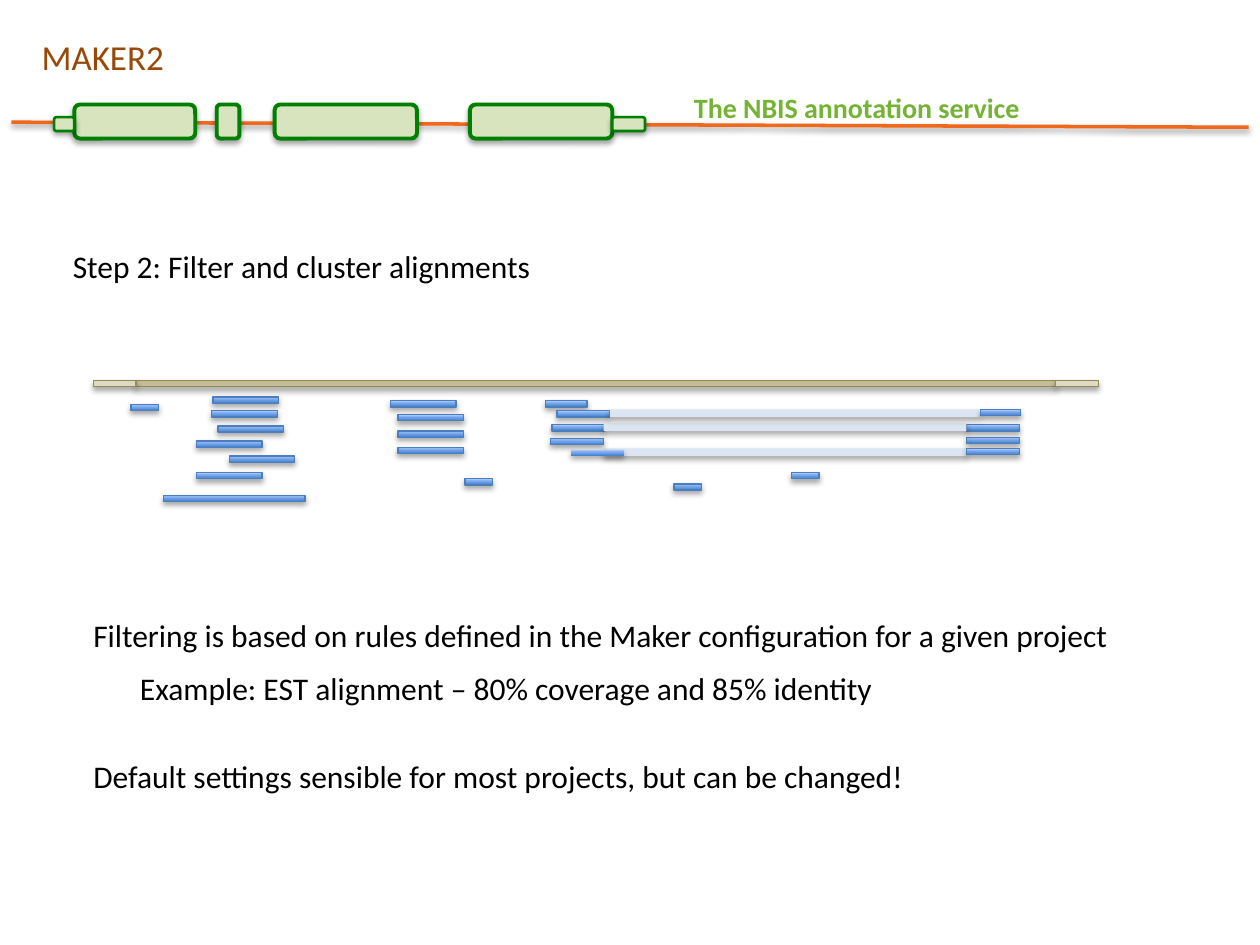
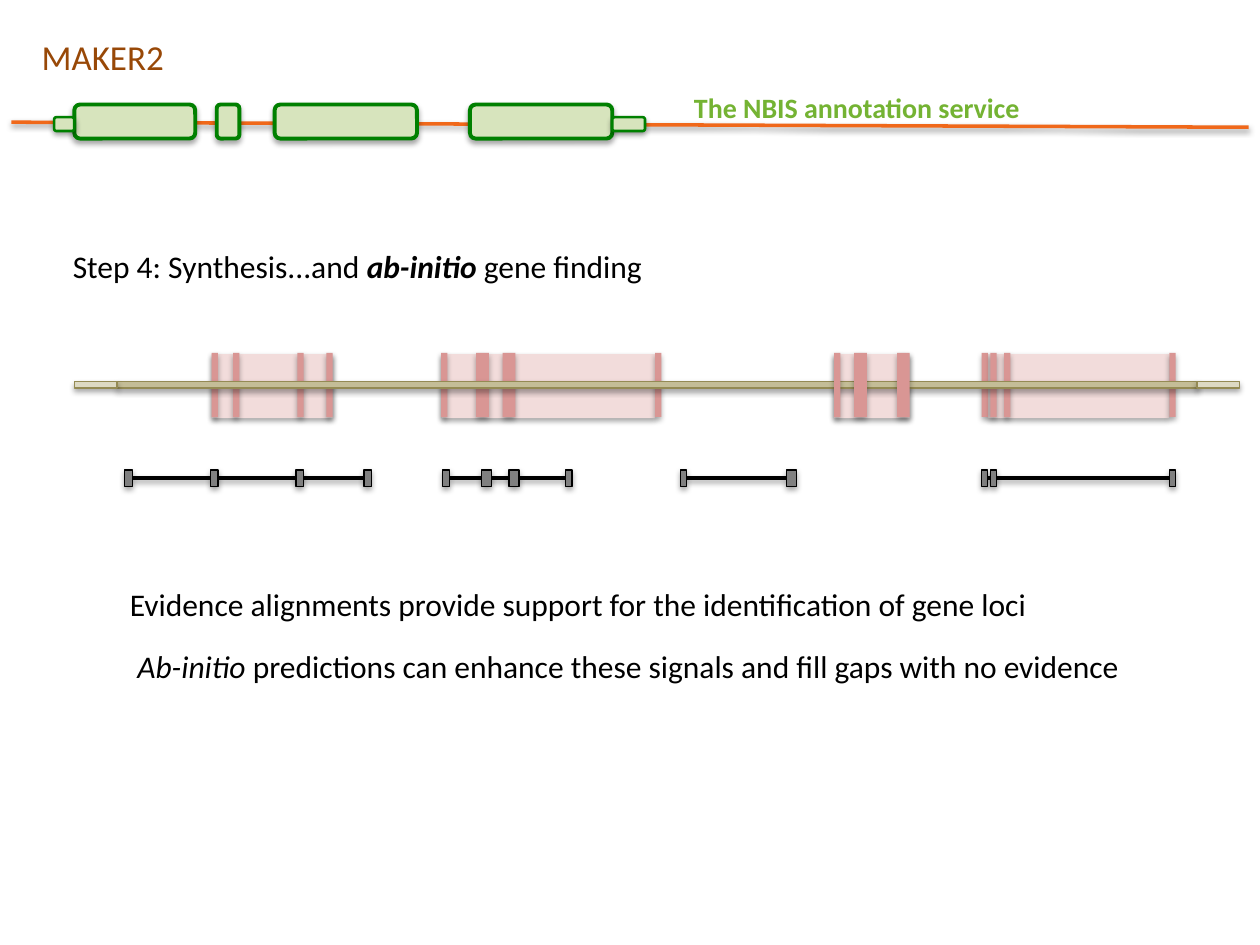
from dataclasses import dataclass

import pptx
import pptx.dml.color
import pptx.enum.shapes
import pptx.enum.text
import pptx.util
from lxml import etree
from pptx.util import Inches


@dataclass(frozen=True)
class Theme:
    font: str = "Calibri"
    title_size: int = 20
    service_size: int = 16
    text_size: int = 18
    title: str = "984807"
    text: str = "000000"
    service: str = "74B333"
    strand: str = "F0681A"
    gene: str = "D7E4BD"
    gene_edge: str = "008000"
    contig: str = "C4BD97"
    contig_end: str = "DDD9C3"
    contig_edge: str = "948A54"
    hit: tuple = ("3F80CE", "A4C4FF")
    hit_edge: str = "4B7EBC"
    gap: str = "DCE6F2"
    locus: str = "F2DCDB"
    evidence: str = "D99694"
    exon: str = "808080"
    black: str = "000000"


theme = Theme()
rgb = pptx.dml.color.RGBColor.from_string
SHAPE = pptx.enum.shapes.MSO_SHAPE
STRAIGHT = pptx.enum.shapes.MSO_CONNECTOR.STRAIGHT


def add_bar(slide, box, fill, edge=None, weight=0.75, outline=SHAPE.RECTANGLE):
    """Bar with the theme's soft shadow; a pair of colours makes a gradient."""
    bar = slide.shapes.add_shape(outline, *[Inches(v) for v in box])
    if isinstance(fill, tuple):
        bar.fill.gradient()
        bar.fill.gradient_angle = 90
        for stop, color in zip(bar.fill.gradient_stops, fill):
            stop.color.rgb = rgb(color)
    else:
        bar.fill.solid()
        bar.fill.fore_color.rgb = rgb(fill)
    if edge:
        bar.line.color.rgb = rgb(edge)
        bar.line.width = pptx.util.Pt(weight)
    else:
        bar.line.fill.background()
    return bar


def write(paragraph, runs, size, color):
    """Runs are (text, style) pairs; style letters are b and i."""
    for text, style in runs:
        run = paragraph.add_run()
        run.text = text
        if "b" in style:
            run.font.bold = True
        if "i" in style:
            run.font.italic = True
    paragraph.alignment = pptx.enum.text.PP_ALIGN.LEFT
    paragraph.font.name = theme.font
    paragraph.font.size = pptx.util.Pt(size)
    paragraph.font.color.rgb = rgb(color)


prs = pptx.Presentation()
prs.slide_width, prs.slide_height = Inches(10), Inches(7.5)
layout = prs.slide_layouts[1]
filtering = prs.slides.add_slide(layout)
synthesis = prs.slides.add_slide(layout)

# Gene model banner: drawn once, then moved to the shared layout
strand = filtering.shapes.add_connector(
    STRAIGHT, Inches(0.09), Inches(0.97), Inches(9.91), Inches(1.01))
strand.line.color.rgb = rgb(theme.strand)
strand.line.width = pptx.util.Pt(2)
banner = [strand]
for left, top, width, height, weight in [
        (0.59, 0.83, 0.96, 0.27, 2.25), (1.72, 0.83, 0.18, 0.27, 2.25),
        (2.18, 0.83, 1.13, 0.27, 2.25), (3.73, 0.83, 1.13, 0.27, 2.25),
        (4.86, 0.93, 0.26, 0.11, 1.5), (0.43, 0.93, 0.16, 0.11, 1.5)]:
    banner.append(add_bar(filtering, (left, top, width, height), theme.gene,
                          theme.gene_edge, weight, SHAPE.ROUNDED_RECTANGLE))
service = filtering.shapes.add_textbox(
    Inches(5.41), Inches(0.67), Inches(3.2), Inches(0.37))
service.text_frame.word_wrap = True
write(service.text_frame.paragraphs[0], [("The NBIS annotation service", "b")],
      theme.service_size, theme.service)
banner.append(service)
for part in banner:
    layout.shapes.element.append(part.element)

# Evidence loci: span, then left and width of each supported exon
loci = [
    (1.68, 0.96, [(1.68, 0.05), (1.85, 0.05), (2.36, 0.05), (2.59, 0.05)]),
    (3.51, 1.69, [(3.5, 0.05), (3.78, 0.1), (3.99, 0.1), (5.2, 0.05)]),
    (7.84, 1.44, [(7.79, 0.05), (7.86, 0.05), (7.97, 0.05), (9.28, 0.05)]),
    (6.62, 0.6, [(6.62, 0.05), (6.78, 0.1), (7.12, 0.1)]),
]
for left, width, _ in loci:
    add_bar(synthesis, (left, 2.81, width, 0.51), theme.locus)
for _, _, exons in loci[:-1]:
    for left, width in exons:
        add_bar(synthesis, (left, 2.8, width, 0.51), theme.evidence)

# Contig with its two paler ends
end_width = 0.34
for slide, left, top, width in [(filtering, 1.08, 3.02, 7.3),
                                (synthesis, 0.93, 3.03, 8.57)]:
    add_bar(slide, (left, top, width, 0.05), theme.contig, theme.contig_edge)
    for end_left in (left + width, left - end_width):
        add_bar(slide, (end_left, top, end_width, 0.05),
                theme.contig_end, theme.contig_edge)

# The last locus has its exons in front of the contig
for left, width in loci[-1][2]:
    add_bar(synthesis, (left, 2.8, width, 0.51), theme.evidence)

# Aligned hits, grouped by length
add_bar(filtering, (4.79, 3.56, 2.88, 0.06), theme.gap)
hits = {
    0.52: [(1.69, 3.15), (1.68, 3.26), (1.73, 3.38), (1.56, 3.5), (1.82, 3.62),
           (1.56, 3.75), (3.1, 3.18), (3.16, 3.29), (3.16, 3.42), (3.16, 3.55)],
    0.33: [(4.33, 3.18)],
    0.42: [(4.42, 3.26), (4.38, 3.37), (4.37, 3.48),
           (7.67, 3.37), (7.67, 3.47), (7.67, 3.56)],
    1.12: [(1.3, 3.93)],
    0.22: [(3.69, 3.8), (1.04, 3.21), (6.28, 3.75), (5.35, 3.84)],
}
for width, places in hits.items():
    for left, top in places:
        add_bar(filtering, (left, top, width, 0.05), theme.hit, theme.hit_edge)
add_bar(filtering, (4.53, 3.57, 0.42, 0.05), theme.hit)

# Gaps between the halves of split hits
add_bar(filtering, (4.79, 3.36, 2.88, 0.06), theme.gap)
add_bar(filtering, (4.84, 3.25, 2.93, 0.06), theme.gap)
add_bar(filtering, (7.78, 3.25, 0.32, 0.05), theme.hit, theme.hit_edge)

# Ab-initio predictions: exons joined from the first to the last
predictions = [
    [(0.99, 0.06), (1.67, 0.06), (2.35, 0.06), (2.89, 0.06)],
    [(3.51, 0.06), (3.82, 0.08), (4.04, 0.08), (4.49, 0.05)],
    [(5.4, 0.05), (6.24, 0.08)],
    [(7.79, 0.05), (7.86, 0.05), (9.28, 0.05)],
]
for exons in predictions:
    intron = synthesis.shapes.add_connector(STRAIGHT, 0, 0, 0, 0)
    intron.line.color.rgb = rgb(theme.black)
    intron.line.width = pptx.util.Pt(2)
    boxes = [add_bar(synthesis, (left, 3.73, width, 0.13), theme.exon, theme.black)
             for left, width in exons]
    intron.begin_connect(boxes[0], 3)
    intron.end_connect(boxes[-1], 1)

# Titles, step headings and notes; a note is (indent, space before, runs)
pages = [
    (filtering, [("Step 2: Filter and cluster alignments", "")], (0.64, 4.84), [
        (0, 0, [("Filtering is based on rules defined in the Maker "
                 "configuration for a given project", "")]),
        (0.37, 8.5, [("Example: EST alignment – 80% coverage and 85% identity", "")]),
        (0, 29, [("Default settings sensible for most projects, "
                  "but can be changed!", "")]),
    ]),
    (synthesis, [("Step 4: Synthesis...and ", ""), ("ab-initio ", "bi"),
                 ("gene finding", "")], (0.93, 4.59), [
        (0, 0, [("Evidence alignments provide support for the "
                 "identification of gene loci", "")]),
        (0.06, 14, [("Ab-initio ", "i"), ("predictions can enhance these signals "
                                          "and fill gaps with no evidence", "")]),
    ]),
]
for slide, step, (left, top), notes in pages:
    title, body = slide.shapes.title, slide.placeholders[1]
    heading = slide.shapes.add_textbox(0, 0, 0, 0)
    for holder, box in [(title, (0.23, 0.23, 5, 0.44)),
                        (heading, (0.48, 1.91, 6, 0.4)),
                        (body, (left, top, 9, 1.6))]:
        holder.left, holder.top, holder.width, holder.height = map(Inches, box)
        frame = holder.text_frame
        frame.word_wrap = True
        frame.auto_size = pptx.enum.text.MSO_AUTO_SIZE.NONE
        frame.vertical_anchor = pptx.enum.text.MSO_ANCHOR.TOP
    write(title.text_frame.paragraphs[0], [("MAKER2", "")],
          theme.title_size, theme.title)
    write(heading.text_frame.paragraphs[0], step, theme.text_size, theme.text)
    for number, (indent, space, runs) in enumerate(notes):
        frame = body.text_frame
        note = frame.add_paragraph() if number else frame.paragraphs[0]
        note.space_before = pptx.util.Pt(space)
        properties = note._p.get_or_add_pPr()
        properties.set("marL", str(Inches(indent)))
        properties.set("indent", "0")
        etree.SubElement(properties, pptx.oxml.ns.qn("a:buNone"))
        write(note, runs, theme.text_size, theme.text)

prs.save("out.pptx")
